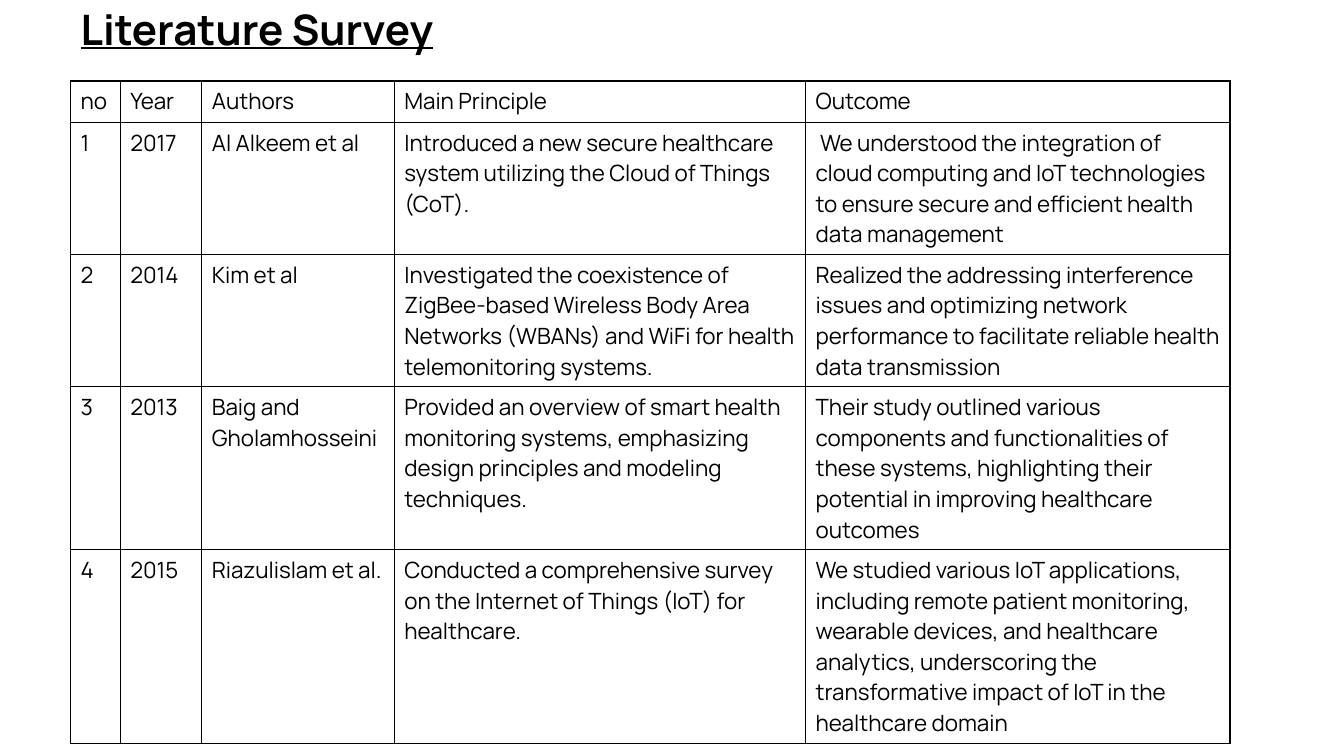
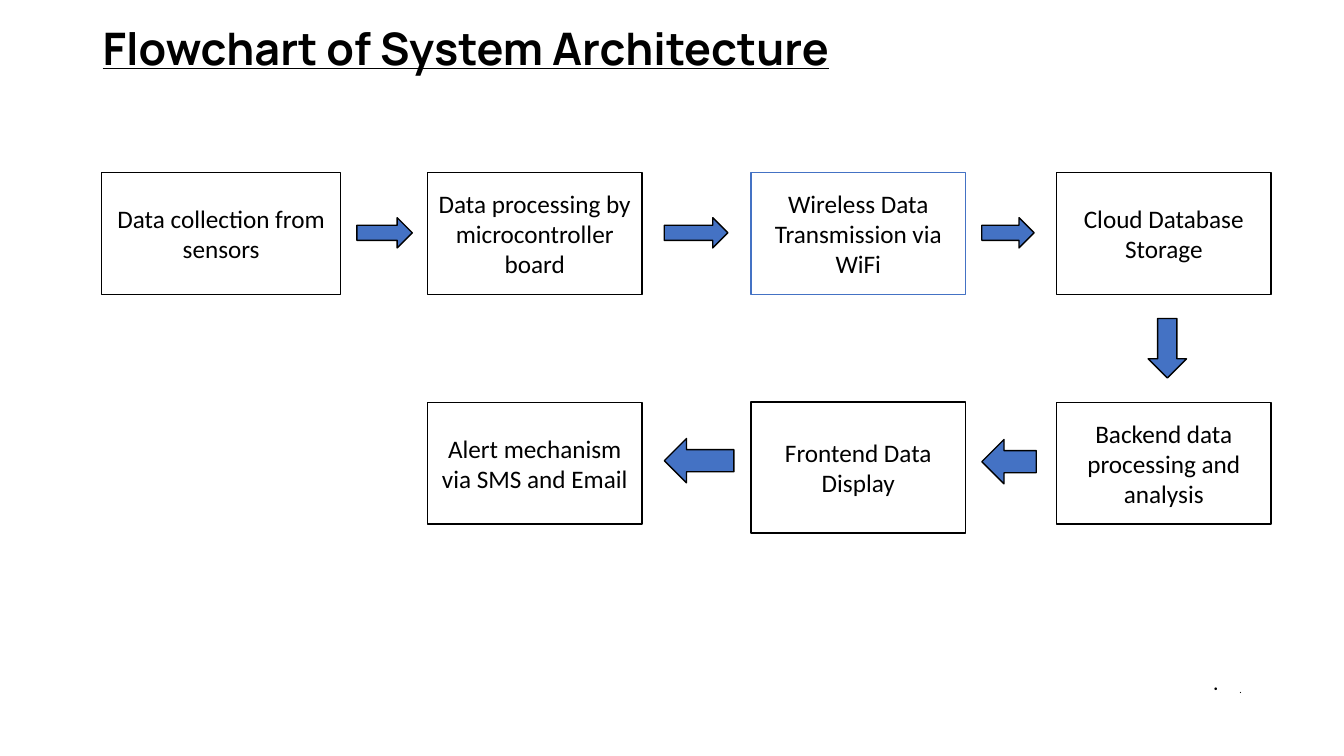
from lxml import etree
from pptx import Presentation
from pptx.dml.color import RGBColor
from pptx.enum import shapes, text
from pptx.oxml import ns
from pptx.util import Pt

COLORS = {"ink": "000000", "paper": "FFFFFF", "accent": "4472C4"}
HEADING_FONT = "Manrope"
BODY_FONT = "Calibri"
TITLE_ONLY, TITLE_AND_BODY = 5, 1

SURVEY = [
    ("no", "Year", "Authors", "Main Principle", "Outcome"),
    ("1", "2017", "Al Alkeem et al",
     "Introduced a new secure healthcare system utilizing the Cloud of Things (CoT).",
     " We understood the integration of cloud computing and IoT technologies "
     "to ensure secure and efficient health data management"),
    ("2", "2014", "Kim et al",
     "Investigated the coexistence of ZigBee-based Wireless Body Area Networks (WBANs) "
     "and WiFi for health telemonitoring systems.",
     "Realized the addressing interference issues and optimizing network performance "
     "to facilitate reliable health data transmission"),
    ("3", "2013", "Baig and Gholamhosseini",
     "Provided an overview of smart health monitoring systems, emphasizing design "
     "principles and modeling techniques.",
     "Their study outlined various components and functionalities of these systems, "
     "highlighting their potential in improving healthcare outcomes"),
    ("4", "2015", "Riazulislam et al.",
     "Conducted a comprehensive survey on the Internet of Things (IoT) for healthcare.",
     "We studied various IoT applications, including remote patient monitoring, wearable "
     "devices, and healthcare analytics, underscoring the transformative impact of IoT "
     "in the healthcare domain"),
]


def color(name):
    return RGBColor.from_string(COLORS[name])


class Deck:
    def __init__(self):
        self.presentation = Presentation()
        self.presentation.slide_width = Pt(960)
        self.presentation.slide_height = Pt(540)
        self.slide = None

    def add_slide(self, layout):
        self.slide = self.presentation.slides.add_slide(
            self.presentation.slide_layouts[layout])

    def place(self, shape, box):
        shape.left, shape.top, shape.width, shape.height = map(Pt, box)

    def style(self, paragraph, size, name, bold=None, underline=None):
        font = paragraph.font
        font.size, font.name = Pt(size), name
        font.bold, font.underline = bold, underline
        font.color.rgb = color("ink")

    def title(self, words, box, size):
        shape = self.slide.shapes.title
        self.place(shape, box)
        shape.text_frame.text = words
        paragraph = shape.text_frame.paragraphs[0]
        paragraph.alignment = text.PP_ALIGN.LEFT
        paragraph.line_spacing = 0.9
        self.style(paragraph, size, HEADING_FONT, True, True)

    def body(self, words, box, size):
        shape = self.slide.placeholders[1]
        self.place(shape, box)
        shape.text_frame.text = words
        paragraph = shape.text_frame.paragraphs[0]
        paragraph.alignment = text.PP_ALIGN.RIGHT
        paragraph.line_spacing = 0.7
        paragraph.space_before = Pt(10)
        self.style(paragraph, size, BODY_FONT)
        properties = paragraph._p.get_or_add_pPr()
        properties.set("marL", str(Pt(18)))
        properties.set("indent", str(Pt(-18)))

    def border(self, cell):
        properties = cell._tc.get_or_add_tcPr()
        for side in ("lnL", "lnR", "lnT", "lnB"):
            line = etree.SubElement(properties, ns.qn(f"a:{side}"), w=str(Pt(1)))
            fill = etree.SubElement(line, ns.qn("a:solidFill"))
            etree.SubElement(fill, ns.qn("a:srgbClr"), val=COLORS["ink"])

    def table(self, rows, left, top, widths, row_height, size):
        table = self.slide.shapes.add_table(
            len(rows), len(widths), Pt(left), Pt(top),
            Pt(sum(widths)), Pt(row_height * len(rows))).table
        table.first_row = table.horz_banding = False
        for column, width in zip(table.columns, widths):
            column.width = Pt(width)
        for row, values in zip(table.rows, rows):
            row.height = Pt(row_height)
            for cell, value in zip(row.cells, values):
                cell.text = value
                self.style(cell.text_frame.paragraphs[0], size, HEADING_FONT)
                self.border(cell)
                cell.fill.background()

    def shape(self, kind, box, fill, line="ink", rotation=0):
        shape = self.slide.shapes.add_shape(kind, *map(Pt, box))
        shape.shadow.inherit = False
        shape.rotation = rotation
        shape.fill.solid()
        shape.fill.fore_color.rgb = color(fill)
        shape.line.color.rgb = color(line)
        shape.line.width = Pt(1)
        return shape

    def arrow(self, kind, box, rotation=0):
        self.shape(kind, box, "accent", rotation=rotation)

    def step(self, words, box, line="ink"):
        shape = self.shape(shapes.MSO_SHAPE.RECTANGLE, box, "paper", line)
        frame = shape.text_frame
        frame.word_wrap = True
        frame.vertical_anchor = text.MSO_ANCHOR.MIDDLE
        frame.text = words
        paragraph = frame.paragraphs[0]
        paragraph.alignment = text.PP_ALIGN.CENTER
        self.style(paragraph, 18, BODY_FONT)


def survey_slide(deck):
    deck.add_slide(TITLE_ONLY)
    deck.title("Literature Survey", (50.4, -12.2, 828, 69.8), 30)
    deck.table(SURVEY, 50.4, 57.8, (35.5, 58.3, 137.5, 293.8, 303.1), 29.5, 16)


def flowchart_slide(deck):
    deck.add_slide(TITLE_AND_BODY)
    deck.title("Flowchart of System Architecture", (66.2, -15.8, 828, 104.4), 32)
    deck.body(".", (649.4, 486.7, 244.8, 10.1), 7)

    right, down = shapes.MSO_SHAPE.RIGHT_ARROW, shapes.MSO_SHAPE.DOWN_ARROW
    first, second, third, fourth = 72.7, 305.3, 536.4, 754.6
    upper, lower = 123.1, 287.3
    width, height = 153.4, 87.1

    for left, length in ((254.9, 39.6), (474.5, 45.4), (701.3, 37.4)):
        deck.arrow(right, (left, 155.5, length, 21.6))
    deck.arrow(down, (820.1, 227.5, 27.4, 42.5))
    for left, top, length in ((701.3, 313.9, 38.9), (474.5, 313.2, 49.7)):
        deck.arrow(right, (left, top, length, 31.7), 180)

    deck.step("Data collection from sensors", (first, upper, 170.6, height))
    deck.step("Wireless Data Transmission via WiFi", (third, upper, width, height), "accent")
    deck.step("Frontend Data Display", (third, lower, width, 93.6))
    for words, left, top in (
        ("Data processing by microcontroller board", second, upper),
        ("Cloud Database Storage", fourth, upper),
        ("Backend data processing and analysis", fourth, lower),
        ("Alert mechanism via SMS and Email", second, lower),
    ):
        deck.step(words, (left, top, width, height))


def main():
    deck = Deck()
    survey_slide(deck)
    flowchart_slide(deck)
    deck.presentation.save("out.pptx")


if __name__ == "__main__":
    main()
